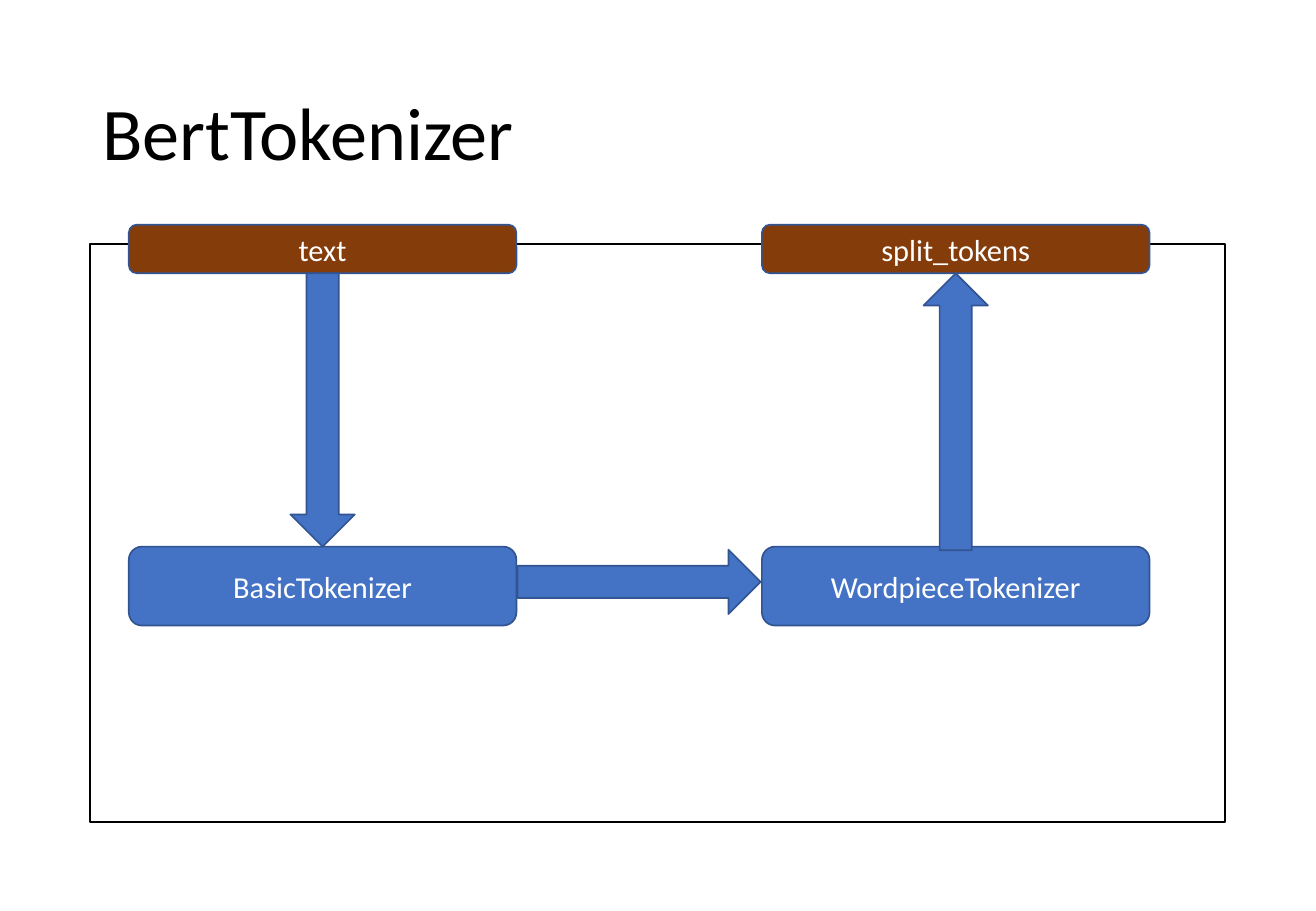
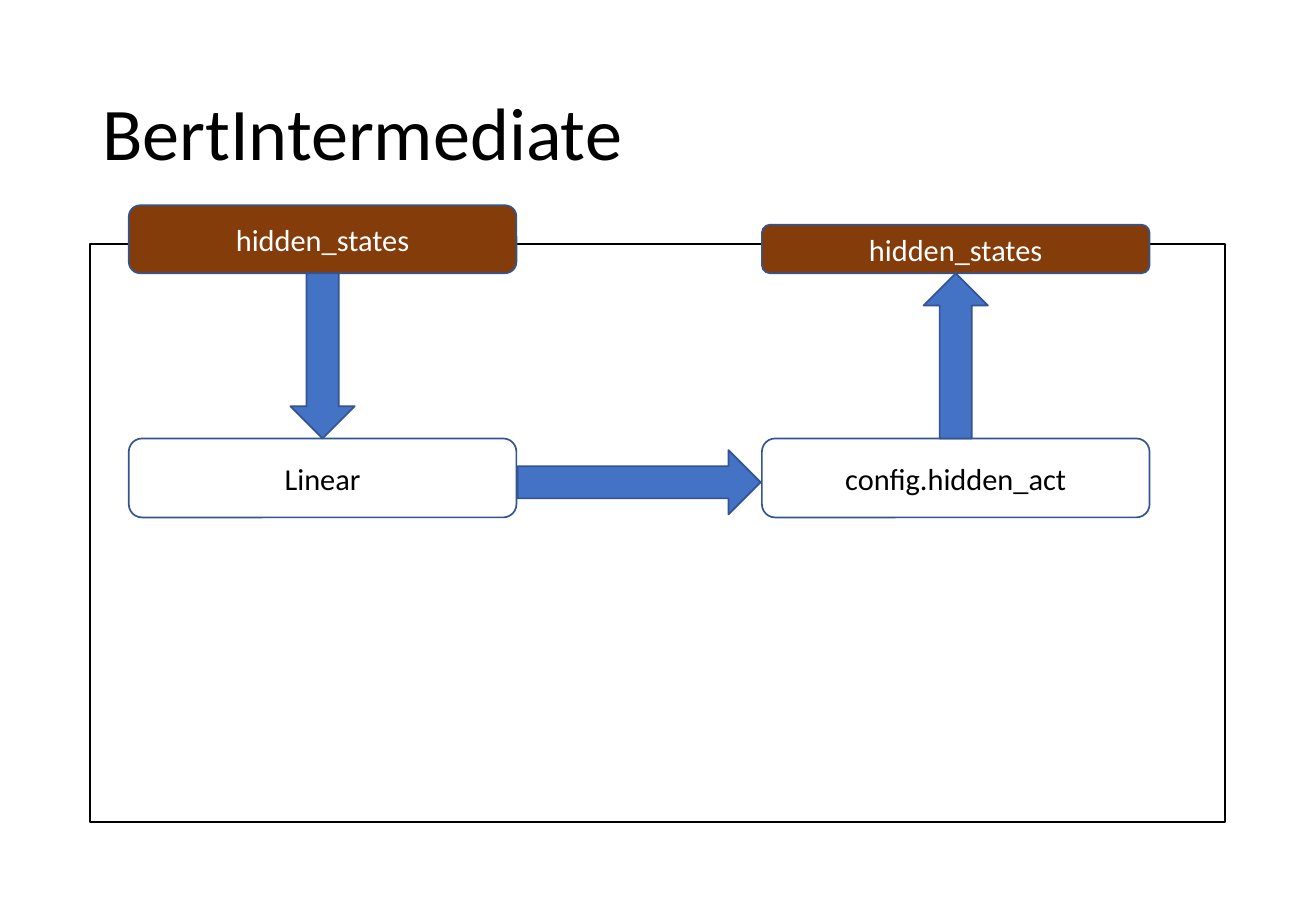
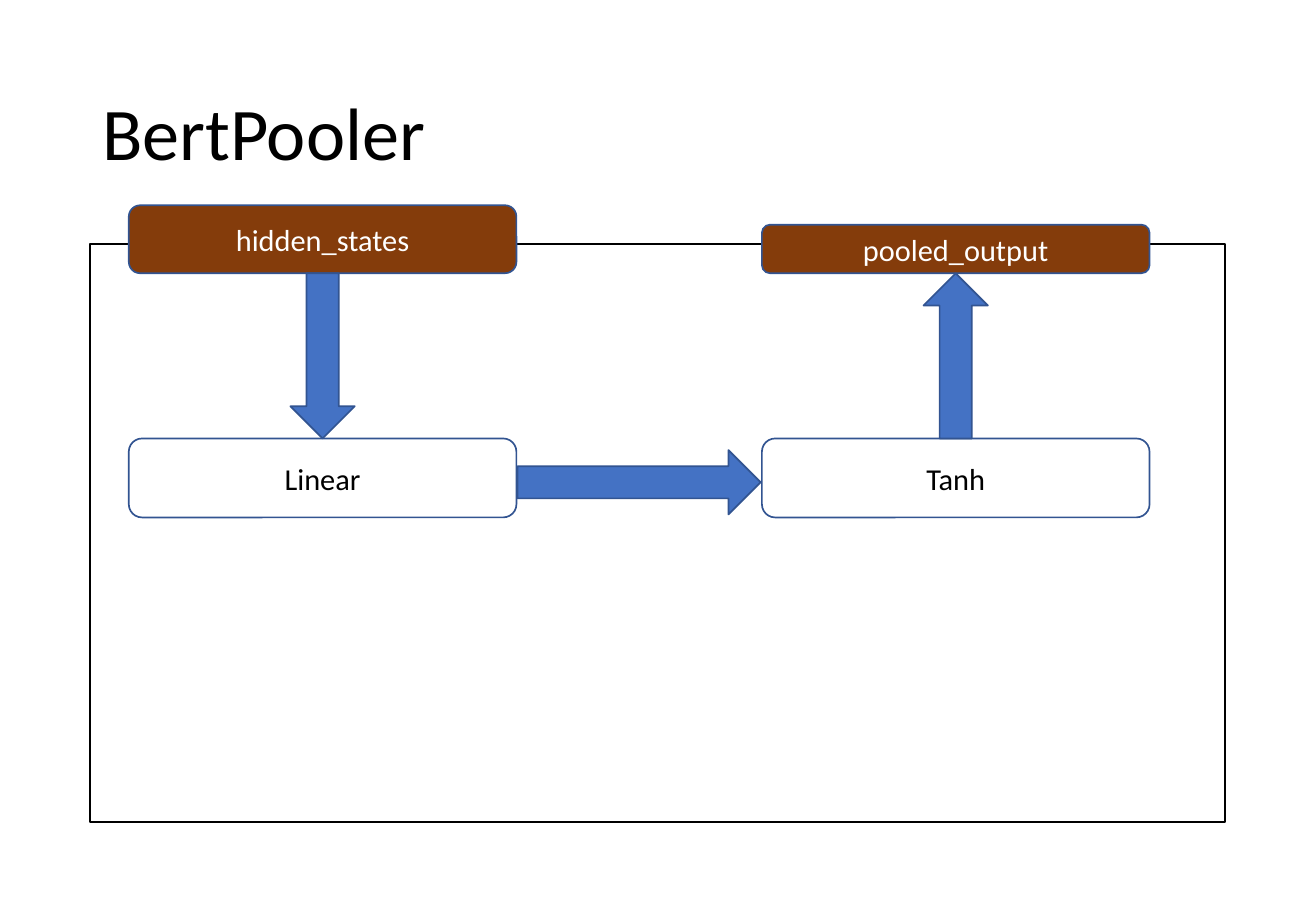
from pptx import Presentation
from pptx import util as u
from pptx.dml.color import RGBColor
from pptx.enum import shapes, text

BLACK = RGBColor(0x00, 0x00, 0x00)
WHITE = RGBColor(0xFF, 0xFF, 0xFF)
BLUE = RGBColor(0x44, 0x72, 0xC4)
OUTLINE = RGBColor(0x32, 0x54, 0x91)
BROWN = RGBColor(0x84, 0x3C, 0x0B)
FONT = "Calibri"

LEFT_X, RIGHT_X = 1.06, 6.27
BOX_W, STEP_H, ARROW_W = 3.19, 0.65, 0.53
DATA_BOTTOM = 2.25


class Deck:
    """Holds the shared style and the slide being built."""

    def __init__(self):
        """Start an empty presentation."""
        self.prs = Presentation()
        self.prs.slide_width = u.Inches(10.83)
        self.prs.slide_height = u.Inches(7.5)
        self.s = None

    def add_slide(self, title):
        """Add a slide with its title and the frame of the module."""
        self.s = self.prs.slides.add_slide(self.prs.slide_layouts[5])
        sp = self.s.shapes.title
        sp.left, sp.top = u.Inches(0.74), u.Inches(0.4)
        sp.width, sp.height = u.Inches(9.34), u.Inches(1.45)
        self.label(sp, title, 44, BLACK, text.PP_ALIGN.LEFT)
        sp.text_frame.paragraphs[0].line_spacing = 0.9
        self.shape(shapes.MSO_SHAPE.RECTANGLE, 0.74, 2.01, 9.34, 4.76, None, BLACK)

    def label(self, sp, words, size, color, align):
        """Put one styled run into a shape."""
        tf = sp.text_frame
        tf.word_wrap = True
        tf.auto_size = text.MSO_AUTO_SIZE.NONE
        tf.vertical_anchor = text.MSO_ANCHOR.MIDDLE
        p = tf.paragraphs[0]
        p.alignment = align
        r = p.add_run()
        r.text = words
        r.font.name, r.font.size = FONT, u.Pt(size)
        r.font.color.rgb = color

    def shape(self, kind, x, y, w, h, fill, line=OUTLINE):
        """Add a flat preset shape; no fill when fill is None."""
        sp = self.s.shapes.add_shape(
            kind, u.Inches(x), u.Inches(y), u.Inches(w), u.Inches(h))
        sp.shadow.inherit = False
        if fill is None:
            sp.fill.background()
        else:
            sp.fill.solid()
            sp.fill.fore_color.rgb = fill
        sp.line.color.rgb = line
        sp.line.width = u.Pt(1)
        return sp

    def box(self, words, x, y, h, fill, color=WHITE):
        """Add a labelled rounded box."""
        sp = self.shape(shapes.MSO_SHAPE.ROUNDED_RECTANGLE, x, y, BOX_W, h, fill)
        self.label(sp, words, 18, color, text.PP_ALIGN.CENTER)

    def arrow(self, center_x, center_y, length, rotation=0):
        """Add a block arrow around a centre, pointing down unless rotated."""
        sp = self.shape(shapes.MSO_SHAPE.DOWN_ARROW, center_x - ARROW_W / 2,
                        center_y - length / 2, ARROW_W, length, BLUE)
        sp.rotation = rotation

    def flow(self, source, result, steps, step_y, link_y, source_h=0.4,
             fill=WHITE, color=BLACK, overlap=0):
        """Draw source, two steps and result, joined by three arrows."""
        self.box(result, RIGHT_X, 1.85, 0.4, BROWN)
        self.box(source, LEFT_X, DATA_BOTTOM - source_h, source_h, BROWN)
        for step, x in zip(steps, (LEFT_X, RIGHT_X)):
            self.box(step, x, step_y, STEP_H, fill, color)
        drop = step_y - DATA_BOTTOM
        rise = drop + overlap
        self.arrow(LEFT_X + BOX_W / 2, DATA_BOTTOM + drop / 2, drop)
        self.arrow(RIGHT_X + BOX_W / 2, DATA_BOTTOM + rise / 2, rise, 180)
        self.arrow((LEFT_X + BOX_W + RIGHT_X) / 2, link_y, 2, 270)


def main():
    """Build the three module diagrams."""
    deck = Deck()
    deck.add_slide("BertTokenizer")
    deck.flow("text", "split_tokens", ("BasicTokenizer", "WordpieceTokenizer"),
              4.5, 4.79, fill=BLUE, color=WHITE, overlap=0.03)
    for title, result, activation in (
            ("BertIntermediate", "hidden_states", "config.hidden_act"),
            ("BertPooler", "pooled_output", "Tanh")):
        deck.add_slide(title)
        deck.flow("hidden_states", result, ("Linear", activation),
                  3.61, 3.97, source_h=0.56)
    deck.prs.save("out.pptx")


main()
